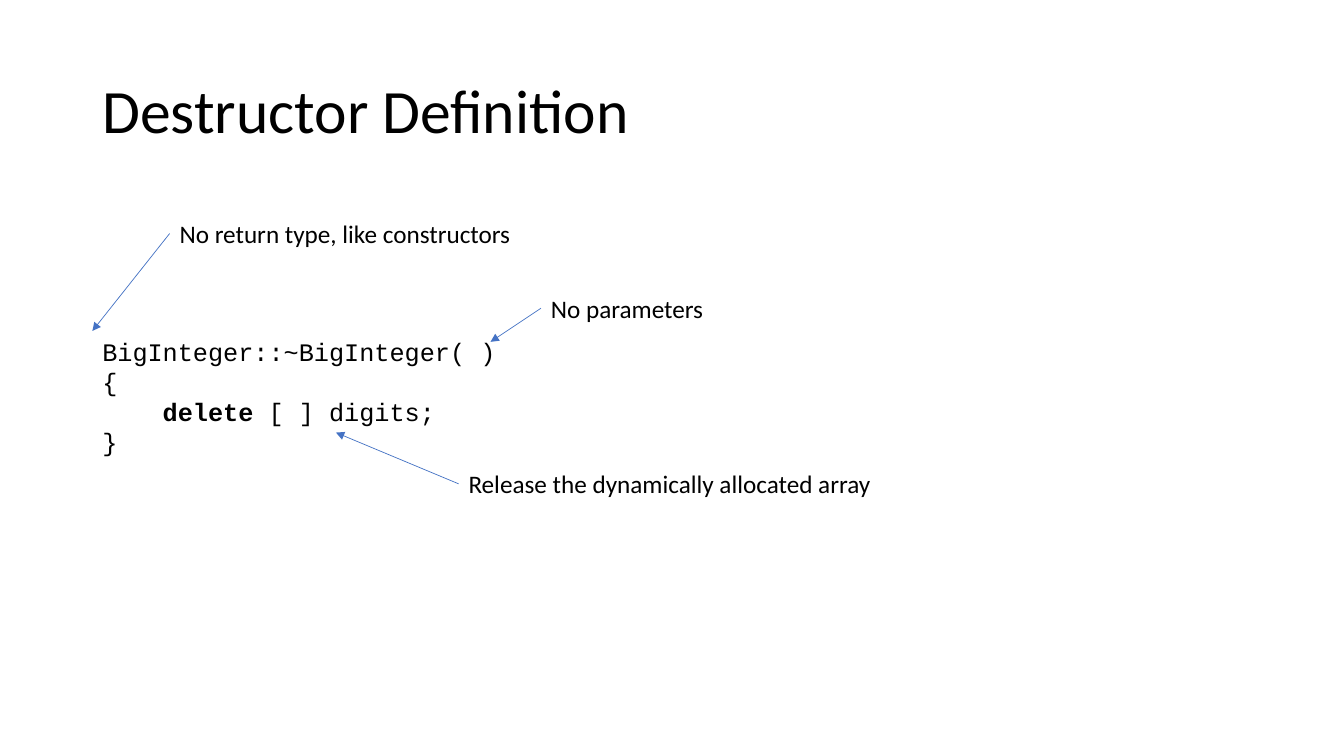
from pptx import Presentation
from pptx.dml.color import RGBColor
from pptx.enum.shapes import MSO_CONNECTOR
from pptx.enum.text import MSO_ANCHOR
from pptx.oxml.ns import qn
from pptx.util import Inches, Pt
from lxml import etree

UNIT = Inches(1) / 12
BLACK, BLUE = "000000", "4472C4"


def grid(*steps):
    return [round(step * UNIT) for step in steps]


def color(hex_string):
    return RGBColor.from_string(hex_string)


def add_text(slide, box, lines, font, size, wrap=False):
    frame = slide.shapes.add_textbox(*grid(*box)).text_frame
    frame.word_wrap = wrap
    for index, runs in enumerate(lines):
        paragraph = frame.paragraphs[0] if index == 0 else frame.add_paragraph()
        for text, bold in runs:
            run = paragraph.add_run()
            run.text = text
            run.font.name, run.font.size, run.font.bold = font, Pt(size), bold
            run.font.color.rgb = color(BLACK)
    return frame


def add_arrow(slide, start, tip):
    arrow = slide.shapes.add_connector(MSO_CONNECTOR.STRAIGHT, *grid(*start, *tip))
    arrow.line.color.rgb = color(BLUE)
    arrow.line.width = Pt(0.5)
    line = arrow.line._get_or_add_ln()
    etree.SubElement(line, qn("a:tailEnd"), type="triangle")
    etree.SubElement(arrow._element.spPr, qn("a:effectLst"))


def add_title(slide, box, text):
    frame = add_text(slide, box, [[(text, False)]], "Calibri", 44, wrap=True)
    frame.vertical_anchor = MSO_ANCHOR.MIDDLE
    frame.paragraphs[0].line_spacing = 0.9


def add_note(slide, box, tip, text):
    left, top, width, height = box
    add_text(slide, box, [[(text, False)]], "Calibri", 18)
    add_arrow(slide, (left, top + height / 2), tip)


def add_annotated_code(slide, box):
    left, top, width, height = box
    code = add_text(slide, (left, top + 14, 49.4, 15.7), [
        [("BigInteger::~BigInteger( )", False)],
        [("{", False)],
        [("delete", True), (" [ ] digits;", False)],
        [("}", False)],
    ], "Courier New", 18)
    body = code.paragraphs[2]._p.get_or_add_pPr()
    body.set("marL", str(Inches(0.6)))
    body.set("indent", "0")

    notes = [
        ("Release the dynamically allocated array", 43.6, 29.8, 50.9, (29, 26.1)),
        ("No return type, like constructors", 9.2, 0, 42.2, (0, 14)),
        ("No parameters", 53.4, 8.9, 20.8, (47.4, 15.3)),
    ]
    for text, column, row, note_width, (tip_column, tip_row) in notes:
        add_note(slide, (left + column, top + row, note_width, 4.8),
                 (left + tip_column, top + tip_row), text)


prs = Presentation()
prs.slide_width, prs.slide_height = grid(160, 90)
slide = prs.slides.add_slide(prs.slide_layouts[6])
add_title(slide, (11, 4.8, 138, 17.4), "Destructor Definition")
add_annotated_code(slide, (11, 25.4, 94.5, 34.6))
prs.save("out.pptx")
